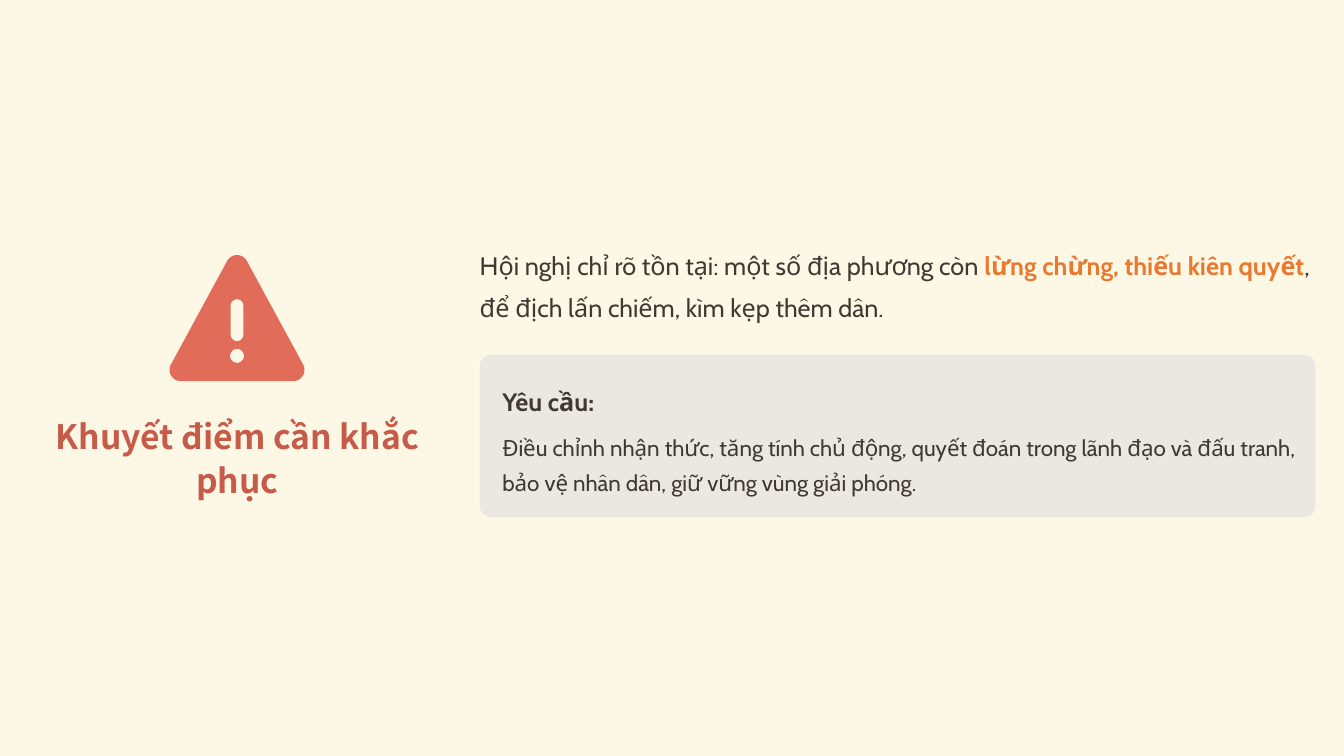
"""Builds a slide on shortcomings to correct, with a warning sign and a requirement card."""
import math

import lxml.etree
import pptx
import pptx.dml.color
import pptx.enum.shapes
import pptx.enum.text
import pptx.oxml.ns
import pptx.util

Pt = pptx.util.Pt
ShapeType = pptx.enum.shapes.MSO_SHAPE
Align = pptx.enum.text.PP_ALIGN

COLOURS = {
    "mist": "F3F4F6",
    "cream": "FCF8E5",
    "coral": "E06C59",
    "brick": "C65B49",
    "orange": "E9792E",
    "ink": "403833",
    "lavender": "A5A8D1",
}
BODY_FONT = "Cabin"
TITLE_FONT = "Noto Sans CJK SC"


def colour(name):
    return pptx.dml.color.RGBColor.from_string(COLOURS[name])


def paint(shape, fill, opacity=100):
    shape.shadow.inherit = False
    shape.line.fill.background()
    shape.fill.solid()
    shape.fill.fore_color.rgb = colour(fill)
    if opacity < 100:
        tint = shape.fill._xPr.find(".//" + pptx.oxml.ns.qn("a:srgbClr"))
        alpha = lxml.etree.SubElement(tint, pptx.oxml.ns.qn("a:alpha"))
        alpha.set("val", str(opacity * 1000))


def add_preset(slide, kind, box, fill, opacity=100):
    shape = slide.shapes.add_shape(kind, *map(Pt, box))
    paint(shape, fill, opacity)
    return shape


def write_text(shape, runs, size, spacing, font=BODY_FONT, align=Align.LEFT):
    frame = shape.text_frame
    frame.word_wrap = True
    frame.auto_size = pptx.enum.text.MSO_AUTO_SIZE.NONE
    frame.vertical_anchor = pptx.enum.text.MSO_ANCHOR.MIDDLE
    frame.margin_left = frame.margin_right = 0
    frame.margin_top = frame.margin_bottom = 0
    paragraph = frame.paragraphs[0]
    paragraph.alignment = align
    paragraph.line_spacing = spacing
    paragraph.space_before = Pt(0)
    for text, run_colour, bold in runs:
        run = paragraph.add_run()
        run.text = text
        run.font.name = font
        run.font.size = Pt(size)
        run.font.bold = bold
        run.font.color.rgb = colour(run_colour)


def add_text(slide, box, runs, size, spacing):
    write_text(slide.shapes.add_textbox(*map(Pt, box)), runs, size, spacing)


def set_title(slide, box, text):
    title = slide.shapes.title
    title.left, title.top, title.width, title.height = map(Pt, box)
    write_text(title, [(text, "brick", True)], 24, 1.1, TITLE_FONT, Align.CENTER)


def add_backdrop(slide):
    slide.background.fill.solid()
    slide.background.fill.fore_color.rgb = colour("mist")
    backdrop = add_preset(slide, ShapeType.RECTANGLE, (-2, 0, 964, 540), "cream")
    title = slide.shapes.title
    title.element.addprevious(backdrop.element)


def add_warning_sign(slide, middle, top):
    radius, half_base, rise, steps = 8, 40.2, 74, 12
    apex_y = top + radius
    base_y = apex_y + rise
    slant = math.degrees(math.atan2(half_base, rise))
    corners = [
        (middle, apex_y, 180 + slant, 360 - slant),
        (middle + half_base, base_y, -slant, 90),
        (middle - half_base, base_y, 90, 180 + slant),
    ]
    outline = []
    for x, y, start, end in corners:
        for step in range(steps + 1):
            angle = math.radians(start + (end - start) * step / steps)
            outline.append((Pt(x + radius * math.cos(angle)),
                            Pt(y + radius * math.sin(angle))))
    builder = slide.shapes.build_freeform(*outline[0])
    builder.add_line_segments(outline[1:], close=True)
    paint(builder.convert_to_shape(), "coral")
    bar = add_preset(slide, ShapeType.ROUNDED_RECTANGLE,
                     (middle - 4.5, top + 31.5, 9, 30), "cream")
    bar.adjustments[0] = 0.5
    add_preset(slide, ShapeType.OVAL, (middle - 5, top + 67, 10, 10), "cream")


def add_requirement_card(slide):
    card = add_preset(slide, ShapeType.ROUNDED_RECTANGLE,
                      (342.7, 253.4, 597, 116), "lavender", 20)
    card.adjustments[0] = 0.07
    add_text(slide, (358.8, 269.3, 574, 28), [("Yêu cầu:", "ink", True)], 18, 1.3)
    add_text(slide, (358.8, 305.3, 573, 48), [
        ("Điều chỉnh nhận thức, tăng tính ", "ink", False),
        ("chủ động, quyết đoán ", "ink", False),
        ("trong lãnh đạo và đấu tranh, bảo vệ nhân dân, "
         "giữ vững vùng giải phóng.", "ink", False),
    ], 16, 1.3)


def main():
    presentation = pptx.Presentation()
    presentation.slide_width, presentation.slide_height = Pt(960), Pt(540)
    slide = presentation.slides.add_slide(presentation.slide_layouts[5])

    add_backdrop(slide)
    add_warning_sign(slide, 169.3, 182.2)
    set_title(slide, (14, 293.8, 311, 64), "Khuyết điểm cần khắc phục")
    add_text(slide, (342.7, 170.6, 606, 59), [
        ("Hội nghị chỉ rõ tồn tại: một số địa phương còn ", "ink", False),
        ("lừng chừng, thiếu kiên quyết", "orange", True),
        (", để địch lấn chiếm, kìm kẹp thêm dân.", "ink", False),
    ], 18, 1.4)
    add_requirement_card(slide)
    presentation.save("out.pptx")


if __name__ == "__main__":
    main()
